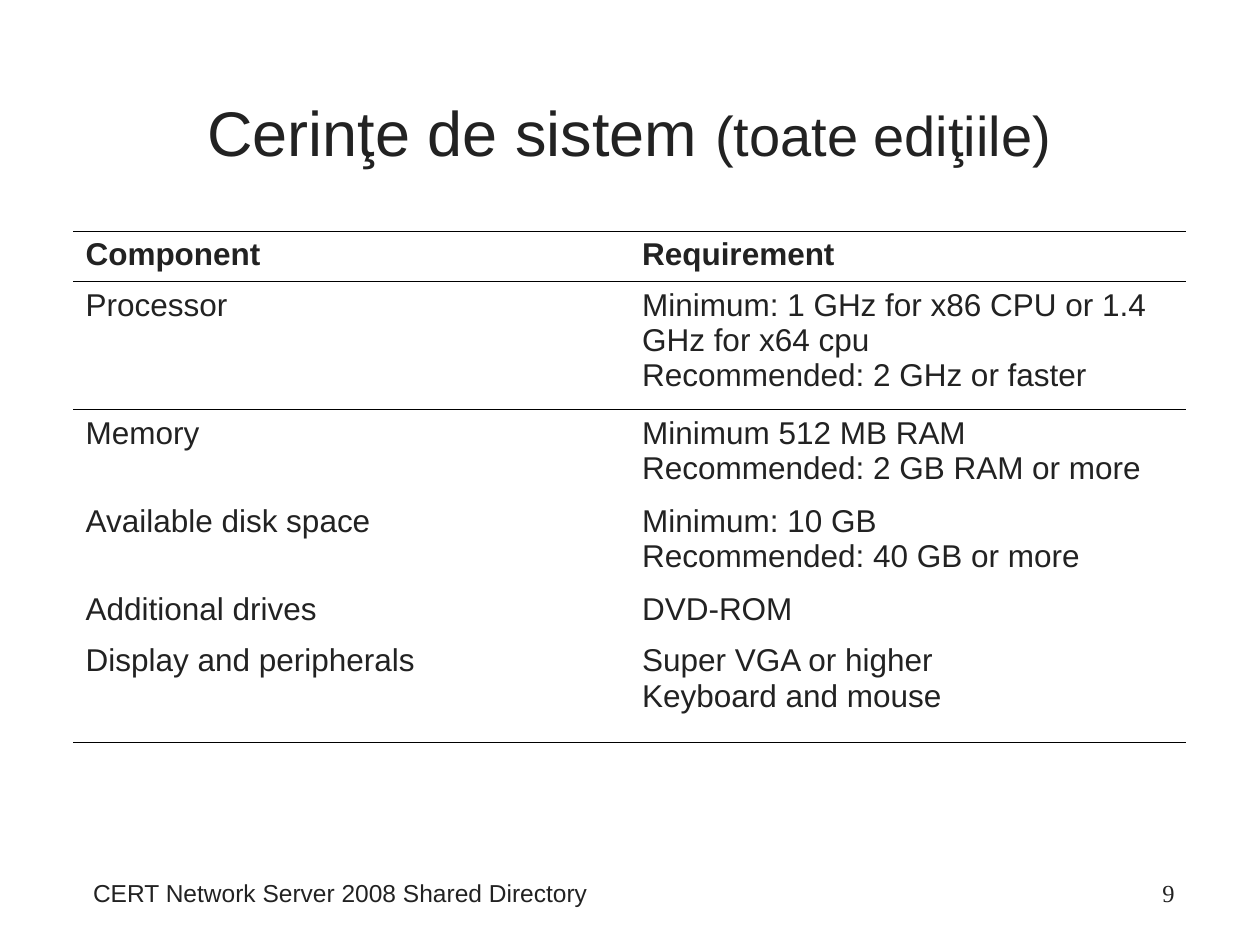
from lxml import etree
from pptx import Presentation
from pptx import util as u
from pptx.dml.color import RGBColor
from pptx.enum import text
from pptx.oxml.ns import qn

INK = {"text": "222222", "rule": "000000"}
PLAIN = "{2D5ABB26-0587-4C30-8999-92F81FD0307C}"  # table style without grid
ROWS = [
    (50, "Component", "Requirement"),
    (128, "Processor", "Minimum: 1 GHz for x86 CPU or 1.4 GHz for x64 cpu\v"
                       "Recommended: 2 GHz or faster"),
    (88, "Memory", "Minimum 512 MB RAM\vRecommended: 2 GB RAM or more"),
    (88, "Available disk space", "Minimum: 10 GB\vRecommended: 40 GB or more"),
    (51, "Additional drives", "DVD-ROM"),
    (105, "Display and peripherals", "Super VGA or higher\vKeyboard and mouse"),
]


def px(n):
    return u.Emu(round(n * 914400 / 126))


def style(par, size, face="Arial", bold=False):
    font = par.font
    font.size, font.name, font.bold = u.Pt(size), face, bold
    font.color.rgb = RGBColor.from_string(INK["text"])


def label(slide, box, runs, size, align, face="Arial"):
    """Add one line of text; runs are (words, size or None) pairs."""
    frame = slide.shapes.add_textbox(*map(px, box)).text_frame
    frame.word_wrap = True
    par = frame.paragraphs[0]
    par.alignment = align
    for words, own in runs:
        run = par.add_run()
        run.text = words
        if own:
            run.font.size = u.Pt(own)
    style(par, size, face)
    return frame


def rule(cell, sides):
    """Draw thin lines on the given sides, in schema order T, B."""
    props = cell._tc.get_or_add_tcPr()
    for i, side in enumerate(sides):
        line = etree.Element(qn("a:ln" + side), w=str(u.Pt(0.45)))
        fill = etree.SubElement(line, qn("a:solidFill"))
        etree.SubElement(fill, qn("a:srgbClr"), val=INK["rule"])
        props.insert(i, line)


def grid(slide, left, top, width):
    high = sum(row[0] for row in ROWS)
    frame = slide.shapes.add_table(len(ROWS), 2, px(left), px(top),
                                   px(width), px(high))
    table = frame.table
    table.first_row = table.horz_banding = False
    table._tbl.tblPr.find(qn("a:tableStyleId")).text = PLAIN
    sides = {0: "TB", 1: "T", len(ROWS) - 1: "B"}
    for r, (tall, *words) in enumerate(ROWS):
        table.rows[r].height = px(tall)
        for c, word in enumerate(words):
            cell = table.cell(r, c)
            cell.fill.background()
            par = cell.text_frame.paragraphs[0]
            par.text = word
            style(par, 18, bold=r == 0)
            rule(cell, sides.get(r, ""))


def main():
    deck = Presentation()
    deck.slide_width, deck.slide_height = px(1260), px(945)
    slide = deck.slides.add_slide(deck.slide_layouts[6])
    align = text.PP_ALIGN

    # Title
    title = label(slide, (73, 53, 1113, 157),
                  [("Cerinţe de sistem ", None), ("(toate ediţiile)", 32)],
                  36, align.CENTER)
    title.vertical_anchor = text.MSO_ANCHOR.MIDDLE

    # Requirements
    grid(slide, 73, 231, 1113)

    # Footer and page number
    foot = label(slide, (73, 872, 840, 53),
                 [("CERT Network Server 2008 Shared Directory", None)],
                 14, align.LEFT)
    foot.margin_left = px(20)
    label(slide, (903, 872, 284, 53), [("9", None)], 14, align.RIGHT,
          "Times New Roman")

    deck.save("out.pptx")


if __name__ == "__main__":
    main()
